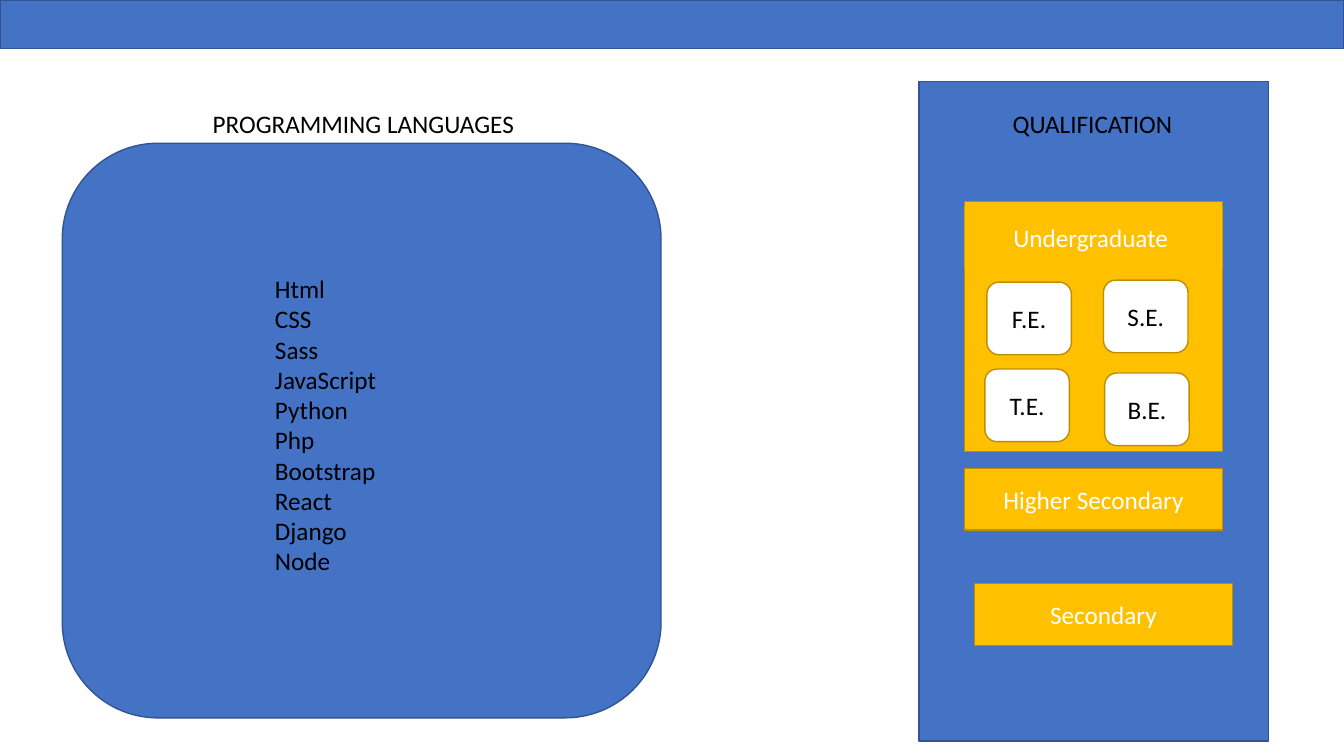
import pptx
import pptx.dml.color
import pptx.enum.shapes
import pptx.enum.text
import pptx.util
from lxml import etree

Cm = pptx.util.Cm
RGBColor = pptx.dml.color.RGBColor
Preset = pptx.enum.shapes.MSO_SHAPE
Align = pptx.enum.text.PP_ALIGN
Anchor = pptx.enum.text.MSO_ANCHOR

BLUE = RGBColor(0x44, 0x72, 0xC4)
DARK_BLUE = RGBColor(0x32, 0x54, 0x91)
GOLD = RGBColor(0xFF, 0xC0, 0x00)
DARK_GOLD = RGBColor(0xBD, 0x8E, 0x00)
WHITE = RGBColor(0xFF, 0xFF, 0xFF)
BLACK = RGBColor(0x00, 0x00, 0x00)

SLIDE_WIDTH, SLIDE_HEIGHT = 33.87, 19.05
BAR_WIDTH, BAR_HEIGHT = 6.5, 1.55
LANGUAGES = ["Html", "CSS", "Sass", "JavaScript", "Python", "Php",
             "Bootstrap", "React", "Django", "Node"]
YEARS = [("F.E.", 0.56, 2.03), ("S.E.", 3.5, 1.98),
         ("T.E.", 0.51, 4.22), ("B.E.", 3.53, 4.32)]
LEVELS = [("Higher Secondary", 1.15, 9.75), ("Secondary", 1.4, 12.65)]


def write_text(shape, text, color=BLACK, align=Align.LEFT, anchor=Anchor.TOP, wrap=False):
    frame = shape.text_frame
    frame.text = text
    frame.word_wrap = wrap
    frame.auto_size = pptx.enum.text.MSO_AUTO_SIZE.NONE
    frame.vertical_anchor = anchor
    frame.margin_left = frame.margin_right = Cm(0.25)
    frame.margin_top = frame.margin_bottom = Cm(0.13)
    for paragraph in frame.paragraphs:
        paragraph.alignment = align
        paragraph.line_spacing = 1.0
        paragraph.space_before = paragraph.space_after = pptx.util.Pt(0)
        paragraph.font.size = pptx.util.Pt(18)
        paragraph.font.name = "Calibri"
        paragraph.font.color.rgb = color


def add_block(slide, preset, left, top, width, height, fill, line=None):
    shape = slide.shapes.add_shape(preset, Cm(left), Cm(top), Cm(width), Cm(height))
    shape.shadow.inherit = False
    shape.fill.solid()
    shape.fill.fore_color.rgb = fill
    if line is None:
        shape.line.fill.background()
    else:
        shape.line.color.rgb = line
        shape.line.width = pptx.util.Pt(1)
    return shape


def add_label_block(slide, text, preset, left, top, width, height, fill, line, color):
    shape = add_block(slide, preset, left, top, width, height, fill, line)
    write_text(shape, text, color=color, align=Align.CENTER, anchor=Anchor.MIDDLE, wrap=True)


def place(shape, left, top, width, height):
    shape.left, shape.top = Cm(left), Cm(top)
    shape.width, shape.height = Cm(width), Cm(height)


def remove_bullets(shape):
    for paragraph in shape.text_frame.paragraphs:
        properties = paragraph._p.get_or_add_pPr()
        properties.set("marL", "0")
        properties.set("indent", "0")
        etree.SubElement(properties, pptx.oxml.ns.qn("a:buNone"))


def add_languages(slide, left, top, width, height):
    title = slide.shapes.title
    place(title, left + 3.54, top, 8.18, 1.02)
    write_text(title, "PROGRAMMING LANGUAGES")
    add_block(slide, Preset.ROUNDED_RECTANGLE, left, top + 1.02, width, height - 1.02,
              BLUE, DARK_BLUE)
    body = slide.placeholders[1]
    place(body, left + 5.11, top + 4.17, 3.07, 8.71)
    write_text(body, "\n".join(LANGUAGES))
    remove_bullets(body)
    body.element.getparent().append(body.element)


def add_undergraduate(slide, left, top, width, height):
    add_block(slide, Preset.RECTANGLE, left, top, width, height, GOLD, DARK_GOLD)
    for year, across, down in YEARS:
        add_label_block(slide, year, Preset.ROUNDED_RECTANGLE, left + across, top + down,
                        2.13, 1.83, WHITE, DARK_GOLD, BLACK)
    add_label_block(slide, "Undergraduate ", Preset.RECTANGLE, left, top + 0.13,
                    width, BAR_HEIGHT, GOLD, None, WHITE)


def add_qualification(slide, left, top, width, height):
    add_block(slide, Preset.RECTANGLE, left, top, width, height, BLUE, DARK_BLUE)
    heading = slide.shapes.add_textbox(Cm(left + 2.11), Cm(top + 0.53), Cm(4.57), Cm(1.02))
    write_text(heading, "QUALIFICATION")
    add_undergraduate(slide, left + 1.15, top + 3.02, BAR_WIDTH, 6.3)
    for level, across, down in LEVELS:
        add_label_block(slide, level, Preset.RECTANGLE, left + across, top + down,
                        BAR_WIDTH, BAR_HEIGHT, GOLD, DARK_GOLD, WHITE)


def main():
    presentation = pptx.Presentation()
    presentation.slide_width = Cm(SLIDE_WIDTH)
    presentation.slide_height = Cm(SLIDE_HEIGHT)
    slide = presentation.slides.add_slide(presentation.slide_layouts[1])
    add_block(slide, Preset.RECTANGLE, 0, 0, SLIDE_WIDTH, 1.22, BLUE, DARK_BLUE)
    add_qualification(slide, 23.16, 2.06, 8.81, 16.61)
    add_languages(slide, 1.57, 2.59, 15.09, 15.5)
    presentation.save("out.pptx")


if __name__ == "__main__":
    main()
